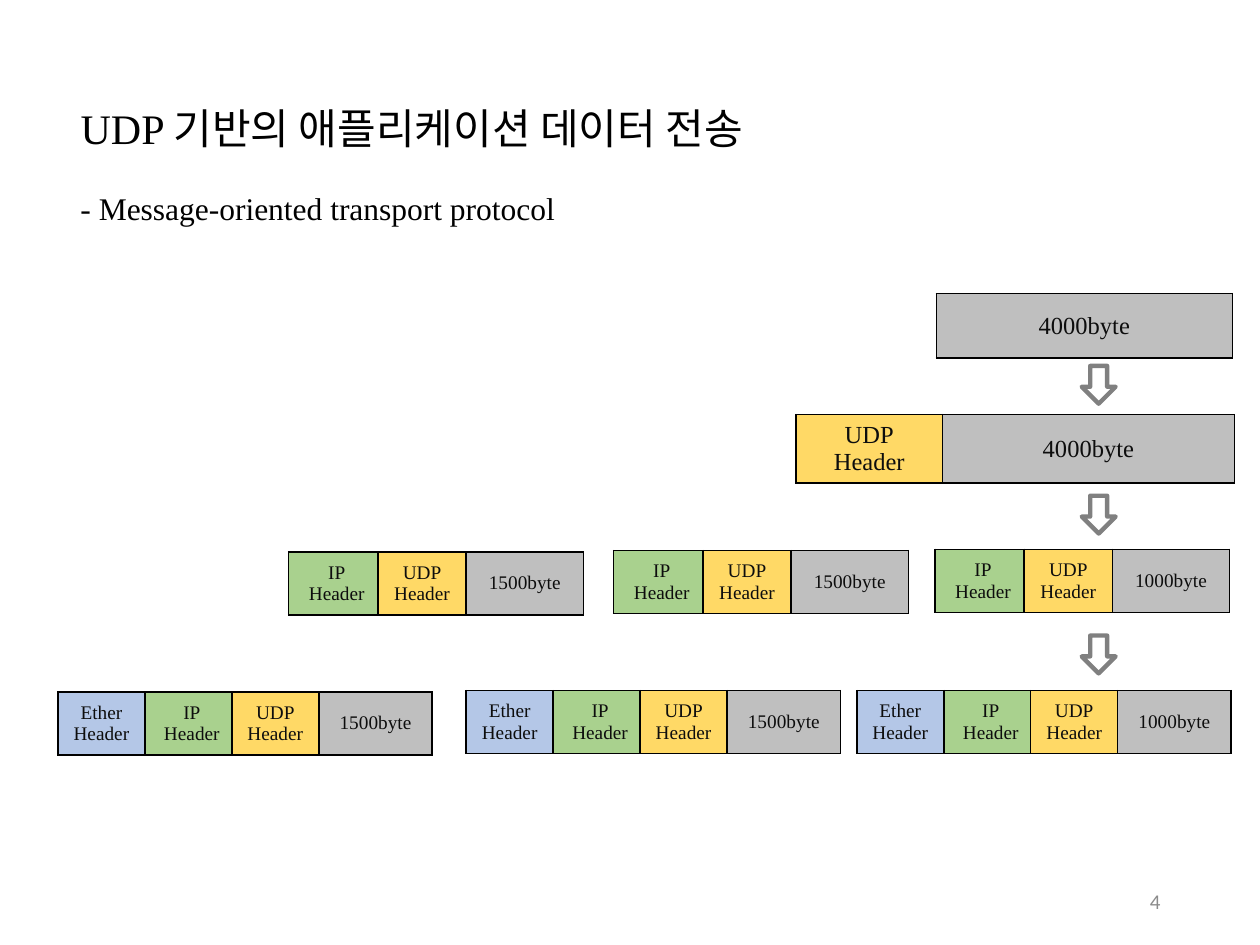
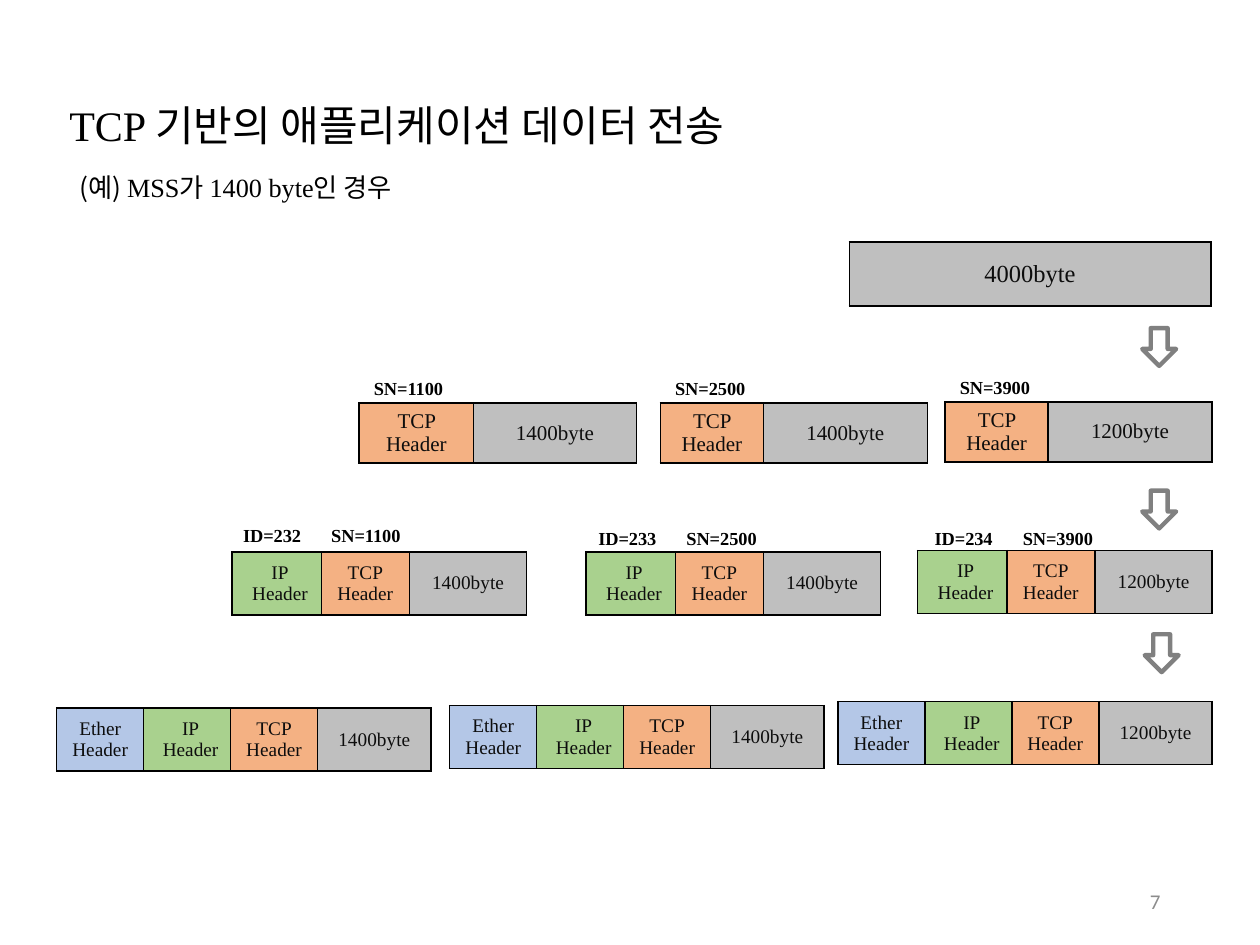
"""Build two slides on how UDP and TCP carry application data."""
import dataclasses

import lxml.etree
import pptx
import pptx.dml.color
import pptx.enum.shapes
import pptx.enum.text
import pptx.oxml.ns
import pptx.util

Pt = pptx.util.Pt
qn = pptx.oxml.ns.qn
ALIGN = pptx.enum.text.PP_ALIGN
ANCHOR = pptx.enum.text.MSO_ANCHOR
AUTO = pptx.enum.text.MSO_AUTO_SIZE


@dataclasses.dataclass(frozen=True)
class Theme:
    latin: str = "Times New Roman"
    korean: str = "Noto Sans CJK KR"
    footer_font: str = "Calibri"
    black: str = "000000"
    cell_text: str = "0D0D0D"
    arrow: str = "808080"
    footer: str = "8C8C8C"
    ether: str = "B4C7E7"
    ip: str = "A9D18E"
    udp: str = "FFD966"
    tcp: str = "F4B183"
    payload: str = "BFBFBF"
    title_size: float = 24
    subtitle_size: float = 18
    example_size: float = 15
    large_size: float = 14
    segment_size: float = 12
    packet_size: float = 11
    label_size: float = 10.5
    footer_size: float = 12


def rgb(color):
    return pptx.dml.color.RGBColor.from_string(color)


def write(p, text, *, size, font, color, bold=False, align=ALIGN.LEFT):
    p.alignment = align
    r = p.add_run()
    r.text = text
    r.font.size = Pt(size)
    r.font.name = font
    r.font.bold = bold
    r.font.color.rgb = rgb(color)
    ea = lxml.etree.SubElement(r.font._element, qn("a:ea"))
    ea.set("typeface", font)


class Deck:
    IP_COLS = (51.1, 50.4, 67)
    ETHER_COLS = (49.7, 49.7, 49.7, 64.8)
    PACKET_HEIGHT = 36
    IP_INDENT = 4

    def __init__(self, theme):
        self.theme = theme
        self.prs = pptx.Presentation()
        self.prs.slide_width, self.prs.slide_height = Pt(720), Pt(540)
        self.s = None

    def slide(self, protocol, x, y, width, number):
        t = self.theme
        self.s = self.prs.slides.add_slide(self.prs.slide_layouts[5])
        sp = self.s.shapes.title
        sp.left, sp.top, sp.width, sp.height = Pt(x), Pt(y), Pt(width), Pt(36)
        runs = ((protocol + " ", t.latin), ("기반의 애플리케이션 데이터 전송", t.korean))
        self.fill_frame(sp.text_frame, runs, size=t.title_size, color=t.black)
        self.text(((number, t.footer_font),), 508.3, 500.4, 162, 28.8, wrap=True,
                  anchor=ANCHOR.MIDDLE, size=t.footer_size, color=t.footer,
                  align=ALIGN.RIGHT)

    def fill_frame(self, tf, runs, wrap=False, anchor=ANCHOR.TOP, **fmt):
        tf.word_wrap = wrap
        tf.auto_size = AUTO.NONE if wrap else AUTO.SHAPE_TO_FIT_TEXT
        tf.vertical_anchor = anchor
        for text, font in runs:
            write(tf.paragraphs[0], text, font=font, **fmt)

    def text(self, runs, x, y, width, height, **fmt):
        sp = self.s.shapes.add_textbox(Pt(x), Pt(y), Pt(width), Pt(height))
        self.fill_frame(sp.text_frame, runs, **fmt)

    def label(self, text, x, y):
        t = self.theme
        width = 48.2 if text.startswith("ID") else 55.4
        self.text(((text, t.latin),), x, y, width, 20.2,
                  size=t.label_size, color=t.black, bold=True)

    def arrow(self, x, y):
        kind = pptx.enum.shapes.MSO_SHAPE.RIGHT_ARROW
        sp = self.s.shapes.add_shape(kind, Pt(x), Pt(y), Pt(21.6), Pt(19.4))
        sp.rotation = 90
        sp.shadow.inherit = False
        sp.fill.background()
        sp.line.color.rgb = rgb(self.theme.arrow)
        sp.line.width = Pt(2.5)

    def border(self, cell):
        tc_pr = cell._tc.get_or_add_tcPr()
        for side in ("a:lnL", "a:lnR", "a:lnT", "a:lnB"):
            ln = lxml.etree.SubElement(tc_pr, qn(side), w=str(Pt(1)))
            fill = lxml.etree.SubElement(ln, qn("a:solidFill"))
            lxml.etree.SubElement(fill, qn("a:srgbClr"), val=self.theme.black)

    def table(self, x, y, cols, height, cells, size):
        t = self.theme
        gf = self.s.shapes.add_table(1, len(cols), Pt(x), Pt(y), Pt(sum(cols)), Pt(height))
        tbl = gf.table
        tbl.first_row = tbl.horz_banding = False
        tbl.rows[0].height = Pt(height)
        for i, (width, (text, color)) in enumerate(zip(cols, cells)):
            tbl.columns[i].width = Pt(width)
            cell = tbl.cell(0, i)
            self.border(cell)
            cell.fill.solid()
            cell.fill.fore_color.rgb = rgb(color)
            cell.vertical_anchor = ANCHOR.MIDDLE
            cell.margin_left = Pt(5.4 + (self.IP_INDENT if color == t.ip else 0))
            cell.margin_right = Pt(5.4)
            cell.margin_top = cell.margin_bottom = Pt(2.7)
            tf = cell.text_frame
            for j, line in enumerate(text.split("\n")):
                p = tf.add_paragraph() if j else tf.paragraphs[0]
                write(p, line, size=size, font=t.latin, color=t.cell_text,
                      align=ALIGN.CENTER)

    def payload(self, x, y, width):
        t = self.theme
        self.table(x, y, (width,), 36.7, (("4000byte", t.payload),), t.large_size)

    def packet(self, x, y, protocol, data, ether=False):
        t = self.theme
        cells = [("IP\nHeader", t.ip),
                 (protocol + "\nHeader", getattr(t, protocol.lower())),
                 (data, t.payload)]
        if ether:
            cells.insert(0, ("Ether\nHeader", t.ether))
        cols = self.ETHER_COLS if ether else self.IP_COLS
        self.table(x, y, cols, self.PACKET_HEIGHT, cells, t.packet_size)

    def packets(self, protocol, sizes, ip_places, ether_places):
        for ether, places in ((False, ip_places), (True, ether_places)):
            for (x, y), data in zip(places, sizes):
                self.packet(x, y, protocol, data, ether)


def udp_slide(deck):
    t = deck.theme
    deck.slide("UDP", 38.9, 54.7, 426.2, "4")
    deck.text((("- Message-oriented transport protocol", t.latin),),
              38.9, 104.4, 288.7, 28.8, size=t.subtitle_size, color=t.black)
    deck.payload(535, 167.8, 169.2)
    deck.table(455, 236.9, (83.5, 167), 38.2,
               (("UDP\nHeader", t.udp), ("4000byte", t.payload)), t.large_size)
    deck.packets("UDP", ("1500byte", "1500byte", "1000byte"),
                 ((164.9, 315.4), (350.6, 314.6), (534.2, 313.9)),
                 ((33.1, 395.3), (266.4, 394.6), (489.6, 394.6)))
    for y in (210.2, 284.4, 364.3):
        deck.arrow(617, y)


def tcp_slide(deck):
    t = deck.theme
    deck.slide("TCP", 32.4, 53.3, 421.9, "7")
    example = (("(예) ", t.korean), ("MSS", t.latin), ("가 ", t.korean),
               ("1400 byte", t.latin), ("인 경우", t.korean))
    deck.text(example, 38.2, 94.3, 205.2, 25.2, wrap=True,
              size=t.example_size, color=t.black)
    deck.payload(485.3, 138.2, 206.6)

    sizes = ("1400byte", "1400byte", "1200byte")
    numbers = ("SN=1100", "SN=2500", "SN=3900")
    segments = ((205.2, 230.4, (65.5, 92.9)), (377.3, 230.4, (59, 93.6)),
                (540, 229.7, (59, 93.6)))
    for (x, y, cols), data, number in zip(segments, sizes, numbers):
        deck.table(x, y, cols, 33.8, (("TCP Header", t.tcp), (data, t.payload)),
                   t.segment_size)
        deck.label(number, x + 1.4, y - 18.4)

    deck.packets("TCP", sizes,
                 ((132.5, 315.4), (334.8, 315.4), (524.2, 314.6)),
                 ((32.4, 404.6), (257, 403.2), (478.8, 401)))
    ids = (("ID=232", 131.8, 295.9), ("ID=233", 334.8, 297.4), ("ID=234", 527, 297.4))
    for (packet_id, x, y), number in zip(ids, numbers):
        deck.label(packet_id, x, y)
        deck.label(number, x + 50.4, y)

    for x, y in ((651.6, 188.6), (651.6, 281.5), (653, 363.6)):
        deck.arrow(x, y)


def main():
    deck = Deck(Theme())
    udp_slide(deck)
    tcp_slide(deck)
    deck.prs.save("out.pptx")


if __name__ == "__main__":
    main()
